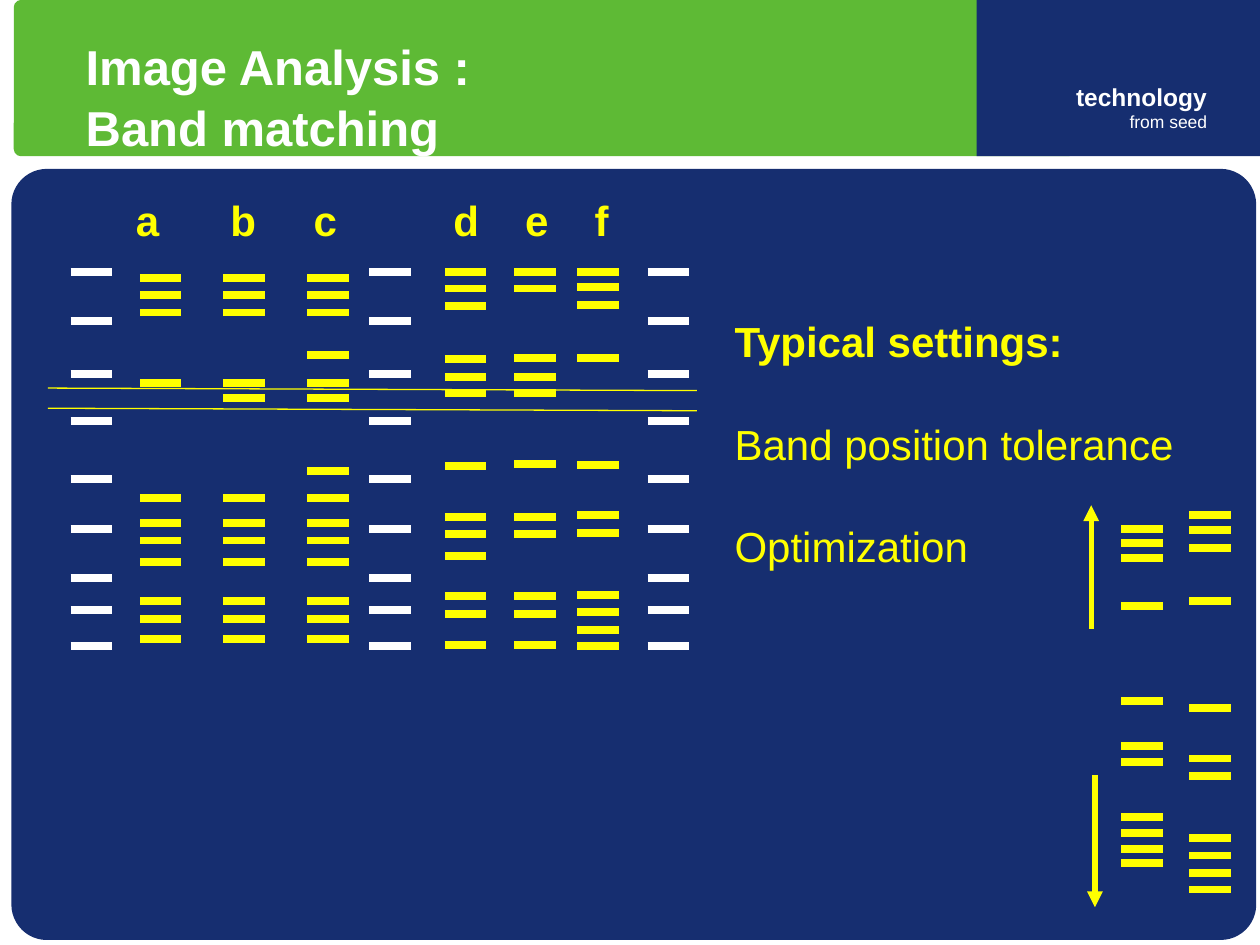
from dataclasses import dataclass

from pptx import Presentation
from pptx.dml.color import RGBColor
from pptx.enum.shapes import MSO_CONNECTOR, MSO_SHAPE
from pptx.enum.text import MSO_ANCHOR, MSO_AUTO_SIZE, PP_ALIGN
from pptx.oxml.ns import qn
from pptx.util import Inches, Pt
from lxml.etree import SubElement

NAVY = RGBColor(0x16, 0x2E, 0x70)
GREEN = RGBColor(0x5E, 0xBA, 0x35)
YELLOW = RGBColor(0xFF, 0xFF, 0x00)
WHITE = RGBColor(0xFF, 0xFF, 0xFF)

# The slide is a grid of 1000 columns by 750 rows
SLIDE_W, SLIDE_H = Inches(10), Inches(7.5)
COL, ROW = SLIDE_W // 1000, SLIDE_H // 750
BAND_COLS = 33
LINE_SPACING = 1.04


@dataclass(frozen=True)
class Area:
    col: float
    row: float
    cols: float
    rows: float

    def emu(self) -> list[int]:
        return [round(self.col * COL), round(self.row * ROW),
                round(self.cols * COL), round(self.rows * ROW)]


@dataclass(frozen=True)
class Panel:
    area: Area
    fill: RGBColor
    rounded: bool = True


@dataclass(frozen=True)
class Lane:
    col: int
    rows: list
    color: RGBColor = YELLOW


# Band rows of the gel lanes; b and c extend the lane before them
MARKER = [216, 255, 297, 334, 380, 420, 459, 484, 513]
A = [221, 234, 248, 304, 395, 415, 429, 446, 477, 491, 507]
B = A + [316]
C = B + [282, 374]
D = [216, 229, 243, 285, 299, 312, 370, 410, 424, 441, 473, 487, 512]
E = [216, 229, 284, 299, 312, 368, 410, 424, 473, 487, 512]
F = [216, 228, 242, 284, 369, 409, 423, 472, 486, 500, 513]
F_SHIFTED = [row + 193 for row in F]
F_COMPRESSED = [420 + 0.893 * (row - F[0]) for row in F]

PANELS = [
    Panel(Area(9, 134, 988, 612), NAVY),
    Panel(Area(11, 0, 843, 124), GREEN),
    Panel(Area(775, 0, 225, 124), NAVY, rounded=False),
]
GEL = [
    Lane(56, MARKER, WHITE), Lane(111, A), Lane(177, B), Lane(244, C),
    Lane(293, MARKER, WHITE), Lane(353, D), Lane(408, E), Lane(458, F),
    Lane(514, MARKER, WHITE),
]
OPTIMIZATION = [Lane(944, F_SHIFTED), Lane(890, F_COMPRESSED)]
LABEL_TABS = [75, 141, 252, 309, 364]


def add_panel(shapes, panel: Panel) -> None:
    kind = MSO_SHAPE.ROUNDED_RECTANGLE if panel.rounded else MSO_SHAPE.RECTANGLE
    shape = shapes.add_shape(kind, *panel.area.emu())
    if panel.rounded:
        shape.adjustments[0] = 0.046
    shape.shadow.inherit = False
    shape.fill.solid()
    shape.fill.fore_color.rgb = panel.fill
    shape.line.fill.background()


def add_line(shapes, start: tuple, end: tuple, color: RGBColor, width: float,
             arrow: bool = False) -> None:
    ends = [round(n * unit) for point in (start, end)
            for n, unit in zip(point, (COL, ROW))]
    line = shapes.add_connector(MSO_CONNECTOR.STRAIGHT, *ends)
    line.line.color.rgb = color
    line.line.width = Pt(width)
    properties = line._element.spPr
    if arrow:
        SubElement(properties.find(qn("a:ln")), qn("a:tailEnd"), type="triangle")
    SubElement(properties, qn("a:effectLst"))


def add_lane(shapes, lane: Lane) -> None:
    bands = shapes.add_group_shape().shapes
    for row in lane.rows:
        add_line(bands, (lane.col, row), (lane.col + BAND_COLS, row), lane.color, 4.5)


def place(shape, area: Area) -> None:
    shape.left, shape.top, shape.width, shape.height = area.emu()


def format_frame(frame, side: float = 0.1, edge: float = 0.05, wrap: bool = True) -> None:
    settings = {
        "margin_left": Inches(side), "margin_right": Inches(side),
        "margin_top": Inches(edge), "margin_bottom": Inches(edge),
        "vertical_anchor": MSO_ANCHOR.TOP, "word_wrap": wrap,
        "auto_size": MSO_AUTO_SIZE.NONE,
    }
    for name, value in settings.items():
        setattr(frame, name, value)


def format_text(text, size: float, color: RGBColor, bold: bool = True) -> None:
    settings = {"name": "Arial", "size": Pt(size), "bold": bold}
    for name, value in settings.items():
        setattr(text.font, name, value)
    text.font.color.rgb = color


def main() -> None:
    deck = Presentation()
    deck.slide_width, deck.slide_height = SLIDE_W, SLIDE_H
    slide = deck.slides.add_slide(deck.slide_layouts[1])
    shapes = slide.shapes
    title, settings = shapes.title, slide.placeholders[1]

    # Panels lie behind the placeholders
    for panel in PANELS:
        add_panel(shapes, panel)
    for placeholder in (title, settings):
        shapes._spTree.append(placeholder._element)

    # Title
    place(title, Area(58, 22, 533, 100))
    format_frame(title.text_frame)
    title.text_frame.text = "Image Analysis : \vBand matching"
    heading = title.text_frame.paragraphs[0]
    heading.alignment = PP_ALIGN.LEFT
    heading.line_spacing = LINE_SPACING
    for run in heading.runs:
        format_text(run, 28, WHITE)

    # Tagline
    tagline = shapes.add_textbox(*Area(756, 65, 202, 40).emu())
    format_frame(tagline.text_frame, 0, 0)
    slogan = tagline.text_frame.paragraphs[0]
    slogan.text = "technology\vfrom seed"
    slogan.alignment = PP_ALIGN.RIGHT
    for run, size, bold in zip(slogan.runs, (14, 10), (True, False)):
        format_text(run, size, WHITE, bold)

    # Settings list
    place(settings, Area(573, 244, 409, 210))
    format_frame(settings.text_frame)
    settings.text_frame.text = "Typical settings:\nBand position tolerance\nOptimization"
    for index, item in enumerate(settings.text_frame.paragraphs):
        properties = item._p.get_or_add_pPr()
        properties.set("marL", "0")
        properties.set("indent", "0")
        SubElement(properties, qn("a:buNone"))
        item.line_spacing = LINE_SPACING
        item.space_before = Pt(28.7 if index else 0)
        format_text(item.runs[0], 24, YELLOW, bold=index == 0)

    # Gel lanes and their labels
    for lane in GEL:
        add_lane(shapes, lane)
    labels = shapes.add_textbox(*Area(98, 148, 405, 50).emu())
    format_frame(labels.text_frame, wrap=False)
    letters = labels.text_frame.paragraphs[0]
    letters.text = "a\tb\tc\td\te\tf"
    letters.line_spacing = LINE_SPACING
    tabs = SubElement(letters._p.get_or_add_pPr(), qn("a:tabLst"))
    for tab in LABEL_TABS:
        SubElement(tabs, qn("a:tab"), pos=str(tab * COL), algn="l")
    format_text(letters.runs[0], 24, YELLOW)

    # Tolerance window across the gel
    window = shapes.add_group_shape().shapes
    for row in (308, 324):
        add_line(window, (38, row), (553, row + 2), YELLOW, 0.75)

    # Optimization by shifting and stretching
    for lane in OPTIMIZATION:
        add_lane(shapes, lane)
    for start, end in [((869, 615), (869, 720)), ((866, 499), (866, 401))]:
        add_line(shapes, start, end, YELLOW, 3, arrow=True)

    deck.save("out.pptx")


if __name__ == "__main__":
    main()
